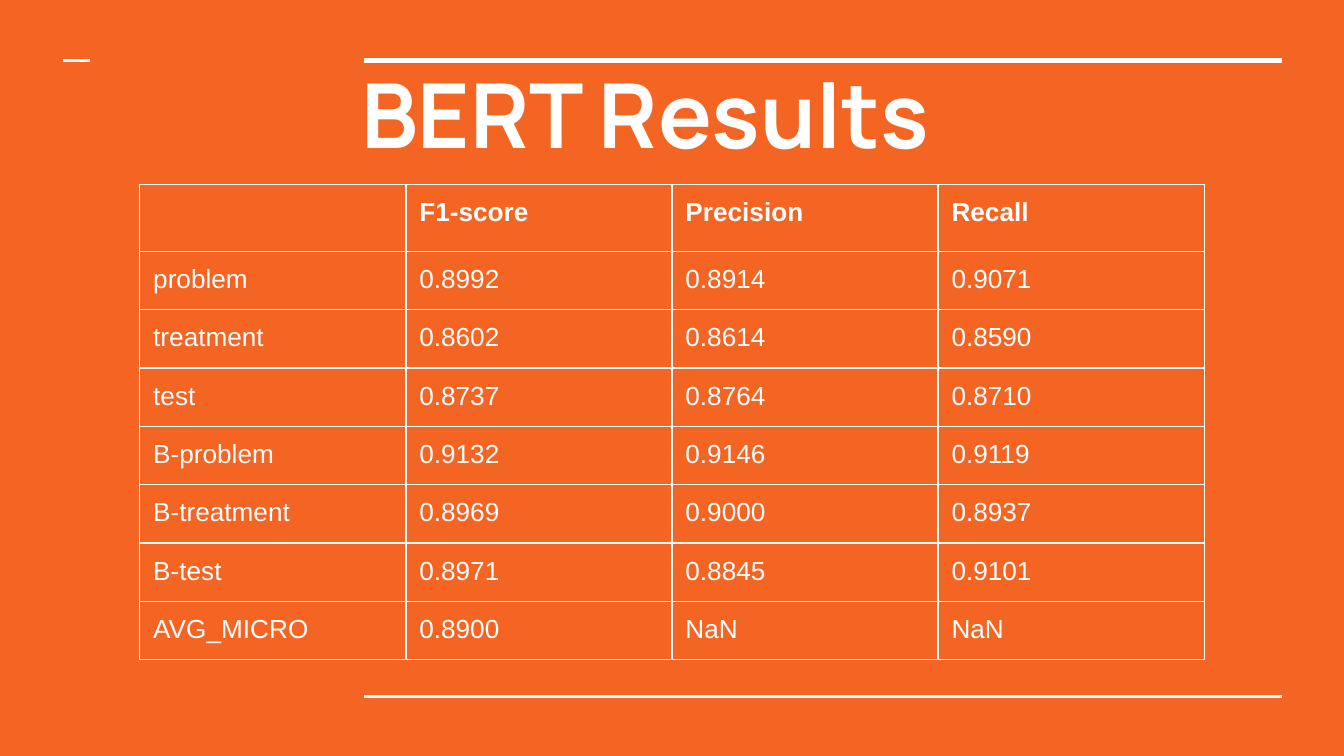
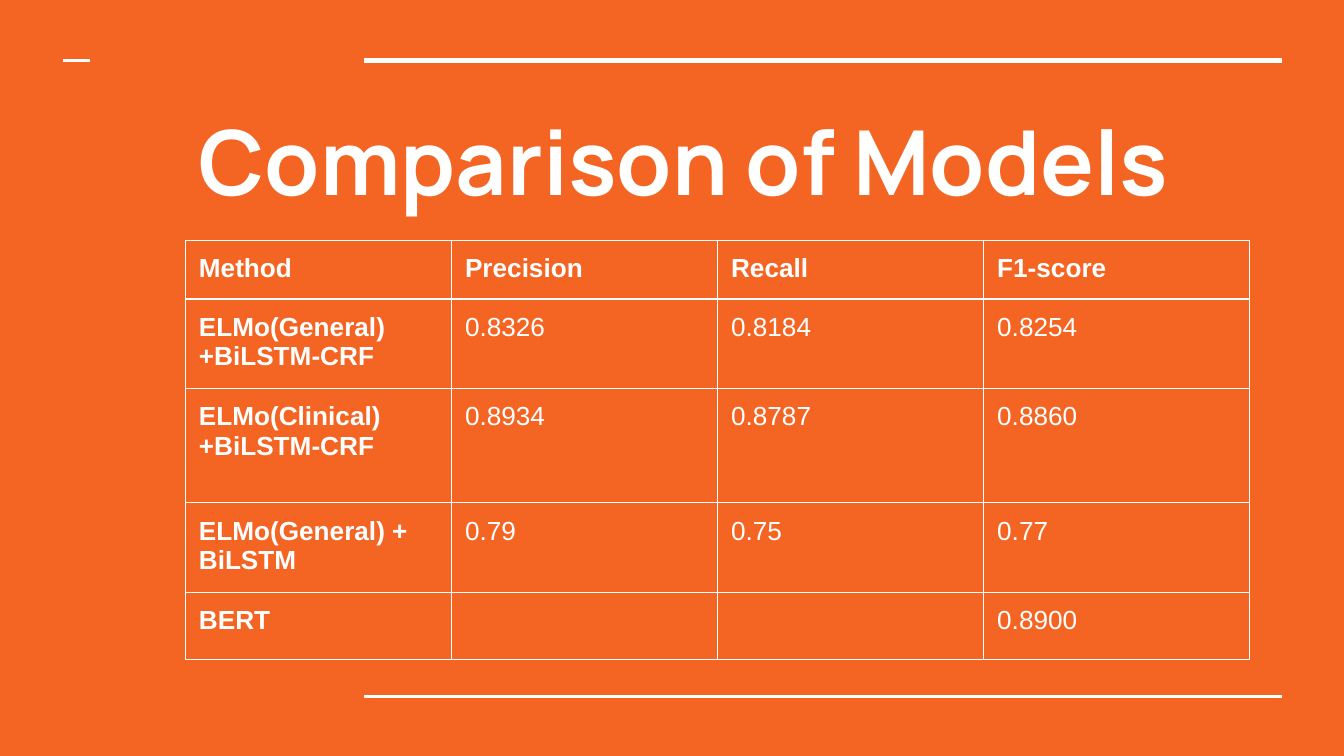
from lxml import etree
from pptx import Presentation
from pptx.dml.color import RGBColor
from pptx.enum.shapes import MSO_CONNECTOR as Connector
from pptx.enum.text import MSO_ANCHOR as Anchor
from pptx.oxml.ns import qn
from pptx.util import Inches, Pt

ORANGE, WHITE = "F46524", "FFFFFF"
TITLE_FONT, BODY_FONT = "Manrope", "Arial"
COLUMN_WIDTH = 1.98
INSET = 0.1

BERT_RESULTS = [
    ["", "F1-score", "Precision", "Recall"],
    ["problem", "0.8992", "0.8914", "0.9071"],
    ["treatment", "0.8602", "0.8614", "0.8590"],
    ["test", "0.8737", "0.8764", "0.8710"],
    ["B-problem", "0.9132", "0.9146", "0.9119"],
    ["B-treatment", "0.8969", "0.9000", "0.8937"],
    ["B-test", "0.8971", "0.8845", "0.9101"],
    ["AVG_MICRO", "0.8900", "NaN", "NaN"],
]
MODEL_COMPARISON = [
    ["Method", "Precision", "Recall", "F1-score"],
    ["ELMo(General) +BiLSTM-CRF", "0.8326", "0.8184", "0.8254"],
    ["ELMo(Clinical) +BiLSTM-CRF", "0.8934", "0.8787", "0.8860"],
    ["ELMo(General) + BiLSTM", "0.79", "0.75", "0.77"],
    ["BERT", "", "", "0.8900"],
]


def rgb(value):
    return RGBColor.from_string(value)


def write(frame, text, size=14, font=BODY_FONT, color=WHITE, bold=False):
    run = frame.paragraphs[0].add_run()
    run.text = text
    run.font.size, run.font.name, run.font.bold = Pt(size), font, bold
    run.font.color.rgb = rgb(color)


def set_margins(holder):
    holder.margin_left = holder.margin_right = Inches(INSET)
    holder.margin_top = holder.margin_bottom = Inches(INSET)


def add_borders(cell, color=WHITE, width=0.75):
    properties = cell._tc.get_or_add_tcPr()
    for position, side in enumerate(("a:lnL", "a:lnR", "a:lnT", "a:lnB")):
        border = etree.Element(qn(side), w=str(Pt(width)))
        fill = etree.SubElement(border, qn("a:solidFill"))
        etree.SubElement(fill, qn("a:srgbClr"), val=color)
        properties.insert(position, border)


class Deck:
    def __init__(self):
        self.prs = Presentation()
        self.prs.slide_width = Inches(10)
        self.prs.slide_height = Inches(10 * 9 / 16)
        self.slide = None
        # Default font, which also sets the height of table rows
        for root in (self.prs.element, self.prs.slide_master.element):
            for latin in root.iter(qn("a:latin")):
                latin.set("typeface", BODY_FONT)

    def new_slide(self):
        self.slide = self.prs.slides.add_slide(self.prs.slide_layouts[6])
        background = self.slide.background.fill
        background.solid()
        background.fore_color.rgb = rgb(ORANGE)
        # Rules shared by every slide
        self.rule(2.71, 9.54, 0.45, 3)
        self.rule(2.71, 9.54, 5.18, 1.5)
        self.rule(0.47, 0.67, 0.45, 1.5)

    def rule(self, left, right, y, width):
        line = self.slide.shapes.add_connector(
            Connector.STRAIGHT, Inches(left), Inches(y), Inches(right), Inches(y))
        line.line.color.rgb = rgb(WHITE)
        line.line.width = Pt(width)
        etree.SubElement(line._element.spPr, qn("a:effectLst"))

    def title(self, text, left, top, width):
        box = self.slide.shapes.add_textbox(
            Inches(left), Inches(top), Inches(width), Inches(1.69))
        frame = box.text_frame
        frame.word_wrap = True
        frame.vertical_anchor = Anchor.TOP
        set_margins(frame)
        write(frame, text, size=48, font=TITLE_FONT, bold=True)

    def table(self, rows, left, top, heights, bold_labels=False):
        columns = len(rows[0])
        table = self.slide.shapes.add_table(
            len(rows), columns, Inches(left), Inches(top),
            Inches(COLUMN_WIDTH * columns), Inches(sum(heights))).table
        # Plain table without the banded style
        table.first_row = table.horz_banding = False
        properties = table._tbl.tblPr
        properties.remove(properties.find(qn("a:tableStyleId")))
        for column in table.columns:
            column.width = Inches(COLUMN_WIDTH)
        for r, (values, height) in enumerate(zip(rows, heights)):
            table.rows[r].height = Inches(height)
            for c, value in enumerate(values):
                cell = table.cell(r, c)
                cell.fill.background()
                set_margins(cell)
                add_borders(cell)
                if value:
                    is_label = bold_labels and c == 0
                    write(cell.text_frame, value, bold=r == 0 or is_label)


def main():
    deck = Deck()

    # BERT scores by entity
    deck.new_slide()
    deck.title("BERT Results", 2.59, 0.34, 6.92)
    deck.table(BERT_RESULTS, 1.04, 1.37, [0.48] + [0.42] * 7)

    # Scores by model
    deck.new_slide()
    deck.title("Comparison of Models", 1.38, 0.69, 8.14)
    deck.table(MODEL_COMPARISON, 1.38, 1.79, [0.42, 0.64, 0.85, 0.64, 0.48],
               bold_labels=True)

    deck.prs.save("out.pptx")


if __name__ == "__main__":
    main()
